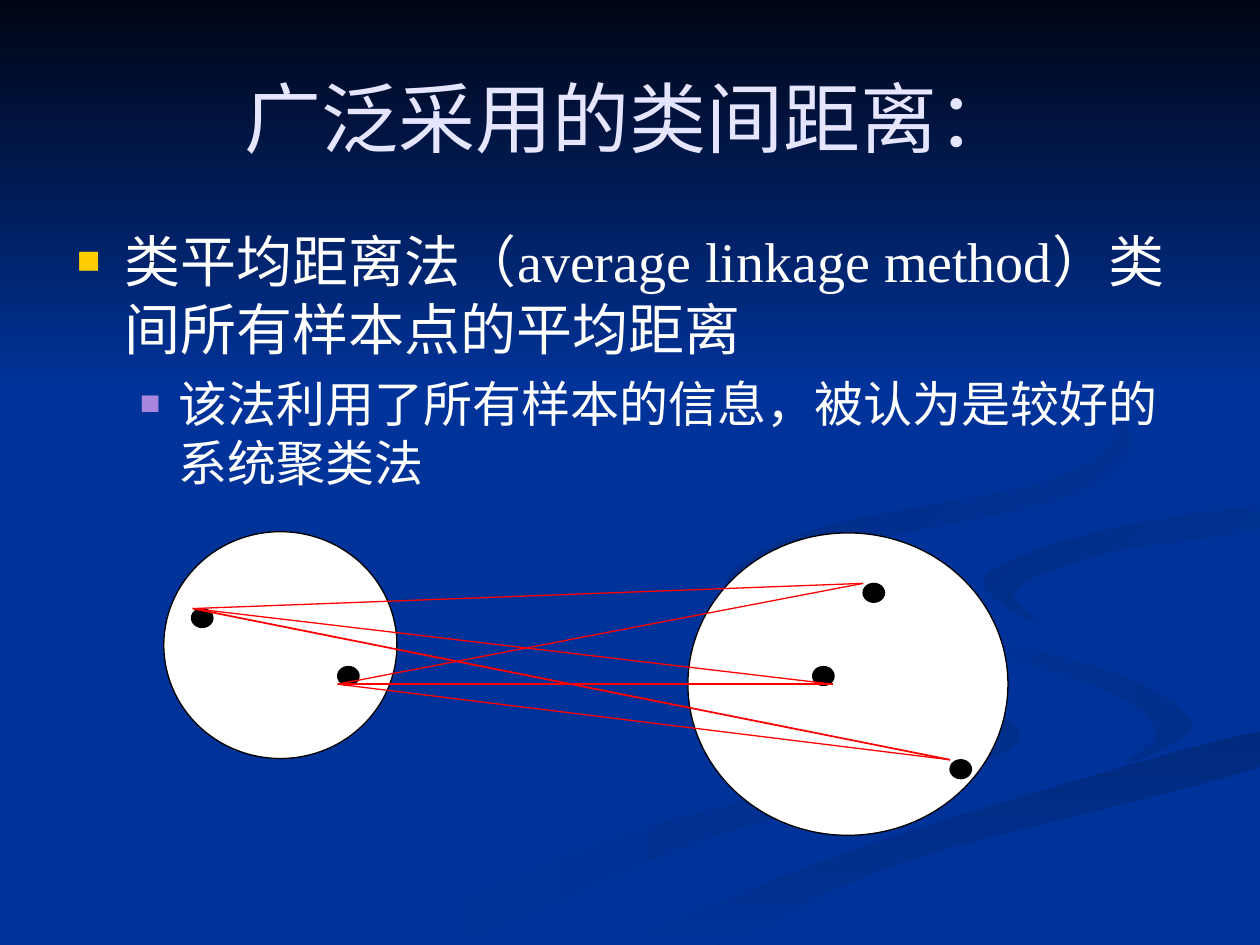
from itertools import product

from lxml import etree
from pptx import Presentation
from pptx.dml.color import RGBColor
from pptx.enum.shapes import MSO_CONNECTOR, MSO_SHAPE
from pptx.enum.text import MSO_ANCHOR, MSO_AUTO_SIZE, PP_ALIGN
from pptx.oxml.ns import qn
from pptx.util import Cm, Pt

OVAL, STRAIGHT = MSO_SHAPE.OVAL, MSO_CONNECTOR.STRAIGHT
TOP, MIDDLE = MSO_ANCHOR.TOP, MSO_ANCHOR.MIDDLE
CENTER, LEFT = PP_ALIGN.CENTER, PP_ALIGN.LEFT
FONT, BLUE = "Times New Roman", "003399"

TITLE = "广泛采用的类间距离："
# text, level, size, left margin, hanging indent, bullet colour, space before
POINTS = [
    ("类平均距离法（average linkage method）类间所有样本点的平均距离",
     0, 32, 0.38, 0.38, "FFCC00", 0),
    ("该法利用了所有样本的信息，被认为是较好的系统聚类法",
     1, 28, 0.81, 0.31, "A886E0", 7),
]

# Diagram positions are in units of a tenth of the slide width
CLUSTERS = [(1.3, 4.22, 1.85, 1.8), (5.46, 4.23, 2.54, 2.4)]
SAMPLES = [(1.52, 4.83), (2.68, 5.29), (7.54, 6.03), (6.45, 5.29), (6.85, 4.63)]
SAMPLE_SIZE = (0.17, 0.15)
LEFT_ENDS = [(1.53, 4.83), (2.68, 5.43)]
RIGHT_ENDS = [(6.85, 4.63), (6.61, 5.43), (7.54, 6.03)]
HEAVY_PAIRS = {(0, 2), (1, 1)}

# Background ribbons: start colour, end colour, angle, points on a smooth outline
RIBBONS = [
    (BLUE, "002E8B", 0, [
        (5.7, 4.7), (6.54, 5.13), (7.52, 5.43), (7.85, 5.7), (7.27, 6.02), (4.99, 6.61),
        (3, 7.49), (3.61, 7.49), (5.64, 6.65), (7.8, 6.05), (7.95, 5.67), (6.61, 5.13)]),
    (BLUE, "002E8B", 45, [
        (9.43, 5.7), (8.88, 5.35), (7.58, 4.98), (7.24, 4.64), (7.55, 5.05),
        (8.8, 5.49), (9.18, 5.81), (8.94, 6.05), (9.32, 5.89)]),
    ("002A7D", BLUE, 90, [
        (5.03, 7.49), (5.71, 7.49), (7.22, 6.82), (9.98, 6.09), (9.98, 5.81),
        (7.64, 6.47), (6.3, 6.93)]),
    ("002D86", BLUE, 45, [
        (7.81, 4.6), (8.26, 4.96), (8.06, 4.68), (8.78, 4.39), (9.98, 4.2),
        (9.98, 4.02), (8.65, 4.24)]),
    ("002B82", BLUE, 45, [
        (7.62, 2.33), (8.62, 2.92), (8.88, 3.41), (8.3, 3.82), (6.49, 4.2),
        (5.77, 4.62), (6.22, 5), (5.96, 4.61), (6.83, 4.3), (8.55, 3.91), (8.93, 3.35)]),
]
TOP_SHADE = ("000514", BLUE, 90)
SHADE_BOX = (0, 0, 10, 3.08)
CURVE_STEPS = 8


def rgb(value):
    return RGBColor.from_string(value)


def units(*values):
    """Convert slide units to lengths."""
    return [Cm(value * 2.54) for value in values]


def smooth(points):
    """Return a closed Catmull-Rom curve through the points."""
    curve = []
    for i in range(len(points)):
        corners = [points[(i + k) % len(points)] for k in range(-1, 3)]
        for step in range(CURVE_STEPS):
            t = step / CURVE_STEPS
            curve.append(tuple(
                b + t * ((c - a) + t * ((2 * a - 5 * b + 4 * c - d)
                                        + t * (3 * b - a - 3 * c + d))) / 2
                for a, b, c, d in zip(*corners)))
    return curve


def add_ribbon(slide, points):
    outline = [units(*point) for point in smooth(points)]
    builder = slide.shapes.build_freeform(*outline[0])
    builder.add_line_segments(outline[1:], close=True)
    return builder.convert_to_shape()


def shade(shape, start, end, angle):
    shape.shadow.inherit = False
    shape.line.fill.background()
    shape.fill.gradient()
    shape.fill.gradient_angle = -angle % 360
    for stop, color, position in zip(shape.fill.gradient_stops, (start, end), (0, 1)):
        stop.color.rgb = rgb(color)
        stop.position = position


def add_circle(slide, box, color):
    circle = slide.shapes.add_shape(OVAL, *units(*box))
    circle.shadow.inherit = False
    circle.fill.solid()
    circle.fill.fore_color.rgb = rgb(color)
    circle.line.color.rgb = rgb("000000")
    circle.line.width = Pt(0.75)


def add_distance(slide, start, end, width):
    distance = slide.shapes.add_connector(STRAIGHT, *units(*start, *end))
    distance.line.color.rgb = rgb("FF0000")
    distance.line.width = Pt(width)
    etree.SubElement(distance._element.spPr, qn("a:effectLst"))


def place(holder, box, anchor):
    holder.left, holder.top, holder.width, holder.height = units(*box)
    frame = holder.text_frame
    for name, value in {"word_wrap": True, "auto_size": MSO_AUTO_SIZE.NONE,
                        "vertical_anchor": anchor}.items():
        setattr(frame, name, value)
    return frame


def write(paragraph, text, size, color, align, before=0):
    paragraph.text = text
    paragraph.alignment = align
    paragraph.line_spacing = 1.0
    paragraph.space_before = Pt(before)
    for name, value in {"name": FONT, "size": Pt(size), "bold": False}.items():
        setattr(paragraph.runs[0].font, name, value)
    paragraph.runs[0].font.color.rgb = rgb(color)


def add_bullet(paragraph, color, margin, hanging):
    properties = paragraph._p.get_or_add_pPr()
    properties.set("marL", str(units(margin)[0]))
    properties.set("indent", str(-units(hanging)[0]))
    bullet_color = etree.SubElement(properties, qn("a:buClr"))
    etree.SubElement(bullet_color, qn("a:srgbClr"), val=color)
    etree.SubElement(properties, qn("a:buSzPct"), val="70000")
    etree.SubElement(properties, qn("a:buFont"), typeface=FONT)
    etree.SubElement(properties, qn("a:buChar"), char="■")


def main():
    deck = Presentation()
    deck.slide_width, deck.slide_height = units(10, 7.5)
    master = deck.slide_master
    master.background.fill.solid()
    master.background.fill.fore_color.rgb = rgb(BLUE)
    slide = deck.slides.add_slide(deck.slide_layouts[1])

    # The backdrop belongs to the master, behind its placeholders
    backdrop = []
    for *colors, points in RIBBONS:
        backdrop.append(add_ribbon(slide, points))
        shade(backdrop[-1], *colors)
    backdrop.append(slide.shapes.add_shape(MSO_SHAPE.RECTANGLE, *units(*SHADE_BOX)))
    shade(backdrop[-1], *TOP_SHADE)
    for index, part in enumerate(backdrop):
        master.shapes._spTree.insert(2 + index, part._element)

    heading = place(slide.shapes.title, (0.5, 0.3, 9, 1.25), MIDDLE)
    write(heading.paragraphs[0], TITLE, 44, "E5E5FF", CENTER)

    body = place(slide.placeholders[1], (0.51, 1.75, 9, 2.4), TOP)
    for index, (text, level, size, margin, hanging, color, before) in enumerate(POINTS):
        point = body.add_paragraph() if index else body.paragraphs[0]
        point.level = level
        write(point, text, size, "FFFFFF", LEFT, before)
        add_bullet(point, color, margin, hanging)

    for cluster in CLUSTERS:
        add_circle(slide, cluster, "FFFFFF")
    for sample in SAMPLES:
        add_circle(slide, sample + SAMPLE_SIZE, "000000")
    for (i, start), (j, end) in product(enumerate(LEFT_ENDS), enumerate(RIGHT_ENDS)):
        add_distance(slide, start, end, 1 if (i, j) in HEAVY_PAIRS else 0.75)

    deck.save("out.pptx")


if __name__ == "__main__":
    main()
